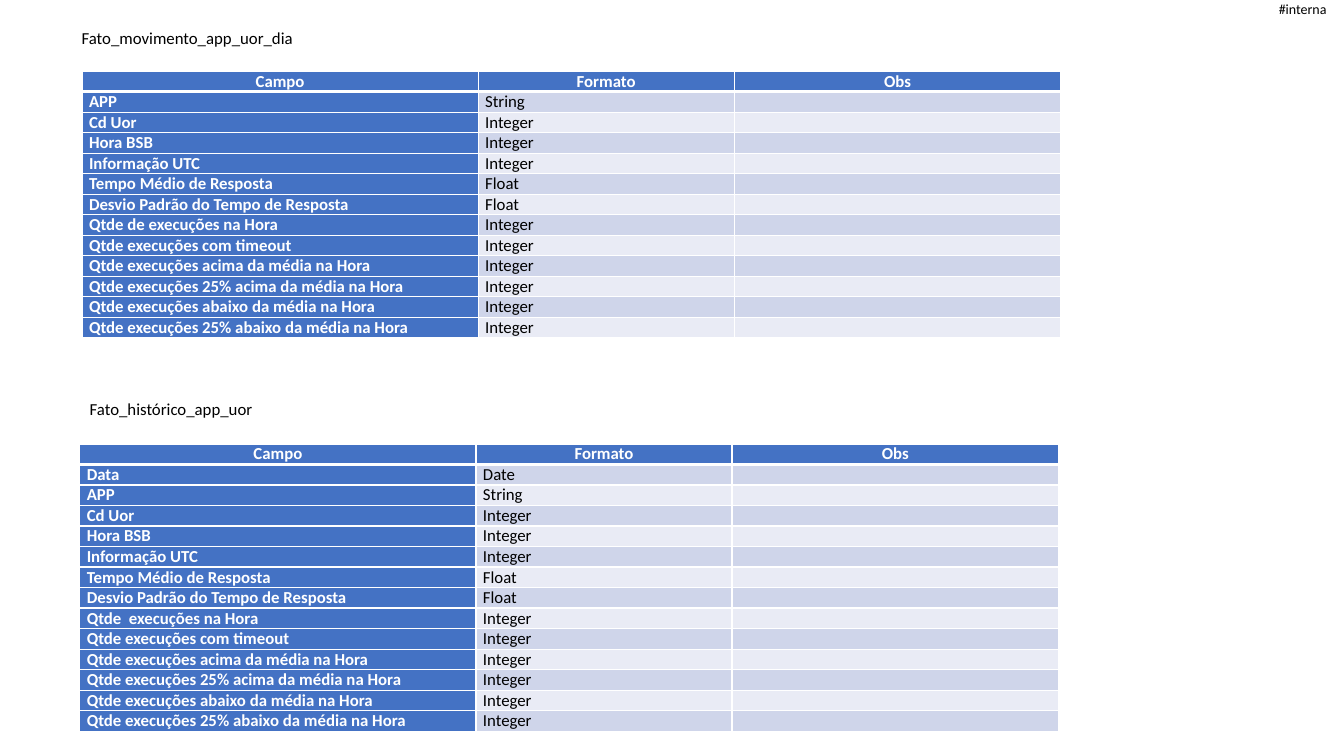
from dataclasses import dataclass

from lxml import etree
from pptx import Presentation
from pptx.dml.color import RGBColor
from pptx.enum import text as t
from pptx.oxml import ns
from pptx.util import Pt

HUES = {"white": "FFFFFF", "black": "000000", "blue": "4472C4",
        "dark": "CFD5EA", "light": "E9EBF5"}
FONT = "Calibri"
ROW = 14.4
COLS = (283, 182.9, 233.3)
HEADS = ("Campo", "Formato", "Obs")
LEFT, MID, RIGHT = t.PP_ALIGN.LEFT, t.PP_ALIGN.CENTER, t.PP_ALIGN.RIGHT

# Field lists
KEYS = (("APP", "String"), ("Cd Uor", "Integer"), ("Hora BSB", "Integer"),
        ("Informação UTC", "Integer"), ("Tempo Médio de Resposta", "Float"),
        ("Desvio Padrão do Tempo de Resposta", "Float"))
COUNTS = tuple((f"Qtde execuções {what}", "Integer") for what in (
    "com timeout", "acima da média na Hora", "25% acima da média na Hora",
    "abaixo da média na Hora", "25% abaixo da média na Hora"))
DAY = (*KEYS, ("Qtde de execuções na Hora", "Integer"), *COUNTS)
PAST = (("Data", "Date"), *KEYS, ("Qtde  execuções na Hora", "Integer"), *COUNTS)


@dataclass
class Label:
    text: str
    box: tuple
    size: float = 12
    align: t.PP_ALIGN = LEFT
    inset: tuple = (7.2, 3.6)


@dataclass
class Fact:
    left: float
    top: float
    rows: tuple


LABELS = (
    Label("Fato_movimento_app_uor_dia", (51.1, 16.1, 167, 21.8)),
    Label("Fato_histórico_app_uor", (57, 281, 131.8, 21.8)),
    Label("#interna", (910.8, 0, 36.7, 12.2), 10, RIGHT, (0, 0)),
)
FACTS = (Fact(58.6, 50.8, DAY), Fact(57, 317.1, PAST))


def assign(item, vals: dict) -> None:
    for key, val in vals.items():
        setattr(item, key, val)


def write(para, words: str, size: float, hue: str, bold: bool, align) -> None:
    para.alignment = align
    if not words:
        para._p.get_or_add_endParaRPr().set("sz", str(size * 100))
        return
    run = para.add_run()
    run.text = words
    assign(run.font, {"name": FONT, "size": Pt(size), "bold": bold})
    run.font.color.rgb = RGBColor.from_string(HUES[hue])


def label(shape, item: Label) -> None:
    assign(shape, dict(zip(("left", "top", "width", "height"), map(Pt, item.box))))
    side, edge = map(Pt, item.inset)
    frame = shape.text_frame
    assign(frame, {"margin_left": side, "margin_right": side,
                   "margin_top": edge, "margin_bottom": edge,
                   "word_wrap": False, "auto_size": t.MSO_AUTO_SIZE.NONE,
                   "vertical_anchor": t.MSO_ANCHOR.MIDDLE})
    write(frame.paragraphs[0], item.text, item.size, "black", False, item.align)


def border(cell, row: int) -> None:
    props = cell._tc.get_or_add_tcPr()
    wide = {"lnT": row == 1, "lnB": row == 0}
    for side in ("lnL", "lnR", "lnT", "lnB"):
        line = etree.SubElement(props, ns.qn(f"a:{side}"),
                                w=str(Pt(3 if wide.get(side) else 1)))
        fill = etree.SubElement(line, ns.qn("a:solidFill"))
        etree.SubElement(fill, ns.qn("a:srgbClr"), val=HUES["white"])


def table(slide, fact: Fact) -> None:
    rows = (HEADS, *((*pair, "") for pair in fact.rows))
    grid = slide.shapes.add_table(
        len(rows), len(COLS), Pt(fact.left), Pt(fact.top),
        Pt(sum(COLS)), Pt(ROW * len(rows))).table
    grid.horz_banding = False
    for col, wide in zip(grid.columns, COLS):
        col.width = Pt(wide)
    for r, row in enumerate(rows):
        grid.rows[r].height = Pt(ROW)
        for c, words in enumerate(row):
            cell = grid.cell(r, c)
            head = r == 0 or c == 0
            assign(cell, {"margin_left": Pt(5), "margin_right": Pt(5),
                          "margin_top": 0, "margin_bottom": 0})
            border(cell, r)
            cell.fill.solid()
            tint = "blue" if head else "dark" if r % 2 else "light"
            cell.fill.fore_color.rgb = RGBColor.from_string(HUES[tint])
            write(cell.text_frame.paragraphs[0], words, 12,
                  "white" if head else "black", head, LEFT if r else MID)


# Slide
deck = Presentation()
assign(deck, {"slide_width": Pt(960), "slide_height": Pt(540)})
slide = deck.slides.add_slide(deck.slide_layouts[5])

# Tables
for fact in FACTS:
    table(slide, fact)

# Title, second heading and mark
label(slide.shapes.title, LABELS[0])
for item in LABELS[1:]:
    label(slide.shapes.add_textbox(*map(Pt, item.box)), item)

deck.save("out.pptx")
